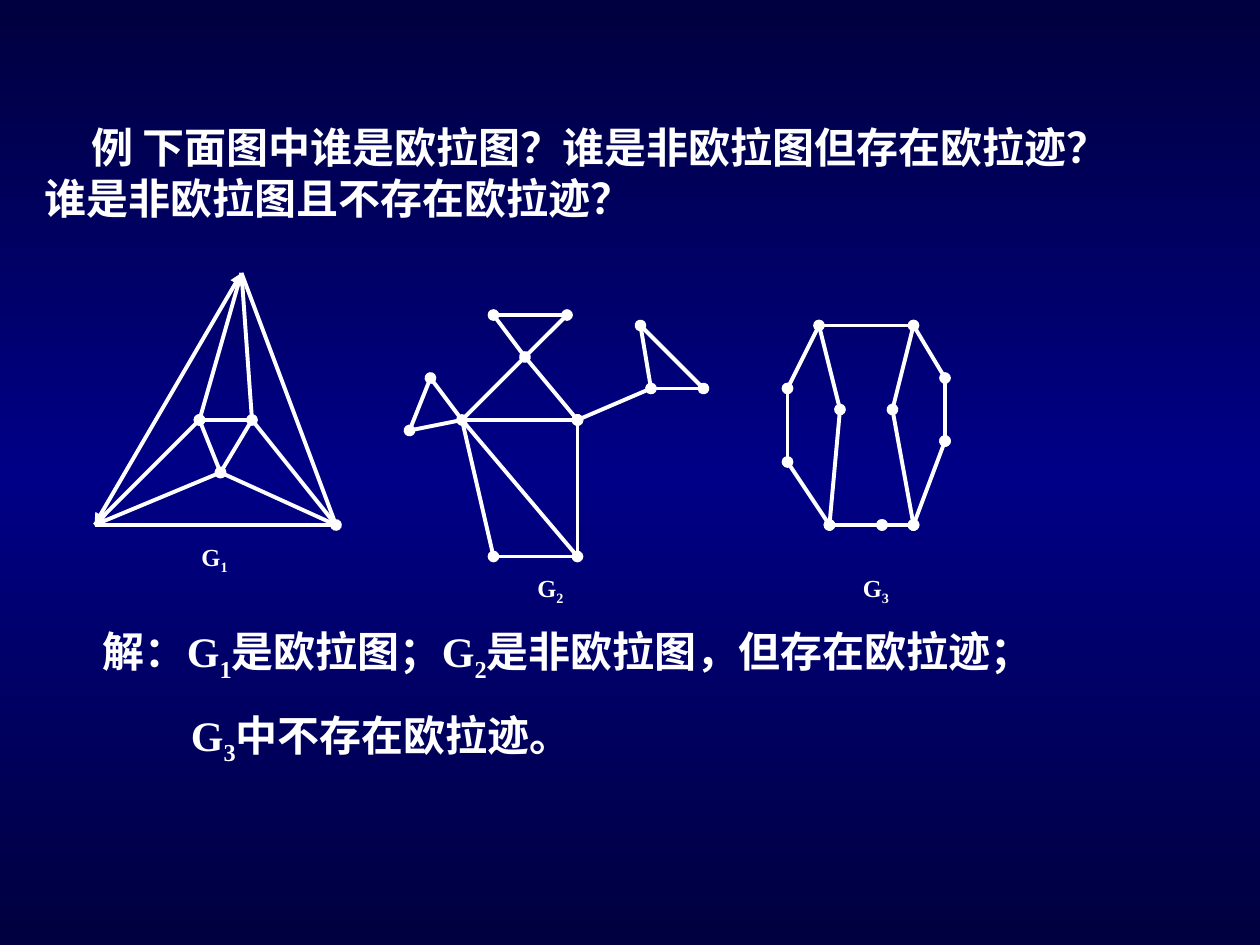
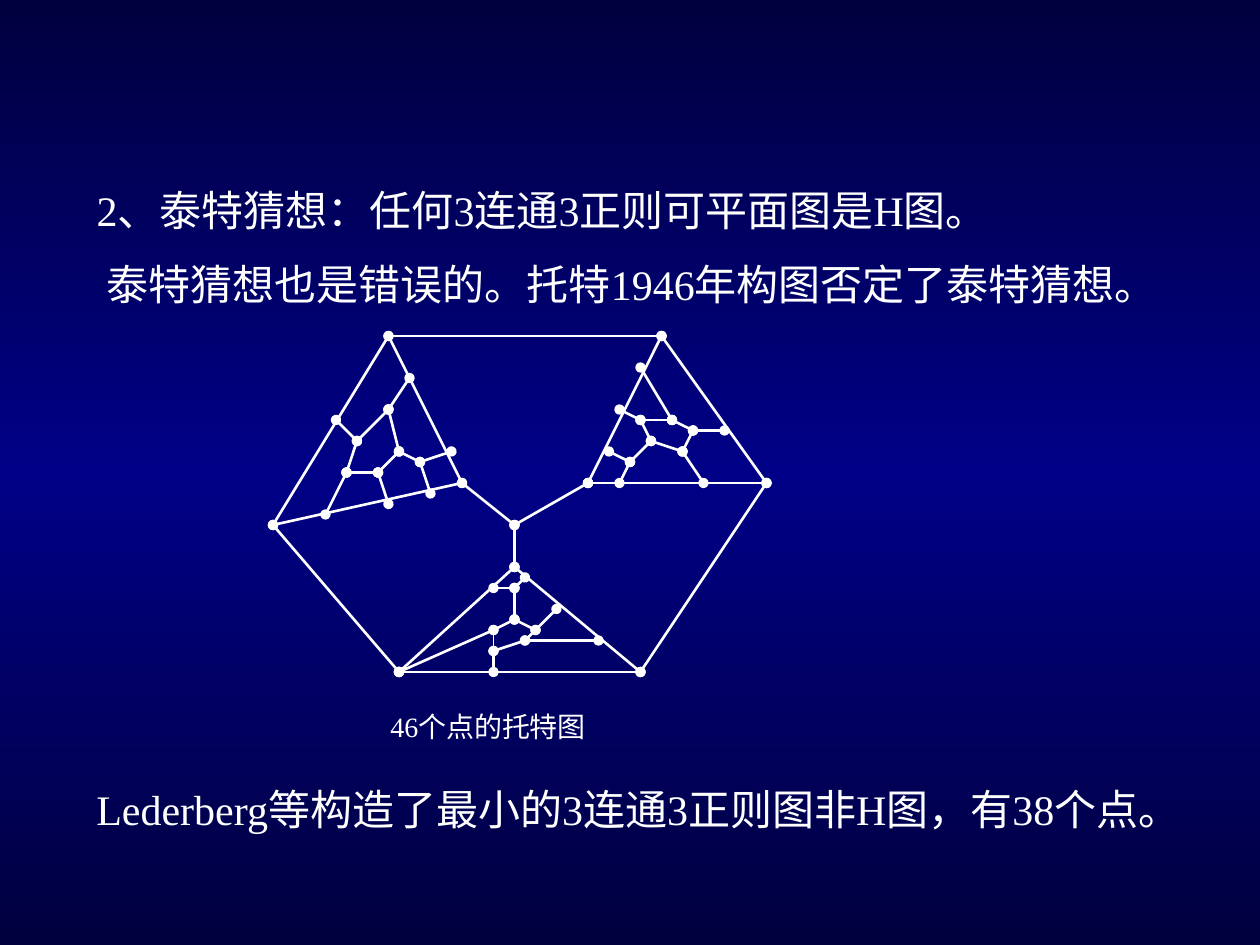
"""Build two slides on Euler graphs and the Tutte graph."""
from copy import deepcopy
from itertools import pairwise

from lxml.etree import SubElement
from pptx import Presentation
from pptx.dml.color import RGBColor
from pptx.enum.shapes import MSO_CONNECTOR as LINE
from pptx.enum.text import MSO_ANCHOR as ANCHOR, MSO_AUTO_SIZE as FIT, PP_ALIGN as ALIGN
from pptx.oxml.ns import qn
from pptx.util import Pt

CELL = 8
FONT = "Times New Roman"
WHITE, NAVY, BLUE = "FFFFFF", "00003E", "000086"
rgb = RGBColor.from_string


def px(n):
    """Turn pixels at 96 to the inch into EMU."""
    return n * 9525


def add_text(sp, text, box, size=24, bold=False, indents=(0,)):
    """Fill a shape with one paragraph a line; _ lowers the next character."""
    sp.left, sp.top, sp.width, sp.height = map(px, box)
    tf = sp.text_frame
    tf.word_wrap, tf.auto_size, tf.vertical_anchor = True, FIT.SHAPE_TO_FIT_TEXT, ANCHOR.TOP
    for n, (line, indent) in enumerate(zip(text.split("\n"), indents)):
        p = tf.add_paragraph() if n else tf.paragraphs[0]
        p.alignment, p.space_before = ALIGN.LEFT, Pt(15 if n else 0)
        p._p.get_or_add_pPr().set("indent", str(px(indent)))
        first, *rest = line.split("_")
        pieces = [(first, False)]
        for part in rest:
            pieces += [(part[0], True), (part[1:], False)]
        for piece, lowered in pieces:
            if not piece:
                continue
            r = p.add_run()
            r.text = piece
            r.font.name, r.font.size, r.font.bold = FONT, Pt(size), bold
            r.font.color.rgb = rgb(WHITE)
            if lowered:
                r._r.get_or_add_rPr().set("baseline", "-25000")


prs = Presentation()
prs.slide_width, prs.slide_height = px(960), px(720)

master = prs.slide_master
fill = master.background.fill
fill.gradient()
fill.gradient_angle = 90
stops = master.element.find(".//" + qn("a:gsLst"))
stops.insert(1, deepcopy(stops[0]))
for stop, position, color in zip(fill.gradient_stops, (0, 0.5, 1), (NAVY, BLUE, NAVY)):
    stop.position = position
    stop.color.rgb = rgb(color)

title_only = prs.slide_layouts[5]
euler = prs.slides.add_slide(title_only)
tutte = prs.slides.add_slide(title_only)

add_text(euler.shapes.title, "例 下面图中谁是欧拉图？谁是非欧拉图但存在欧拉迹？谁是非欧拉图且不存在欧拉迹？",
         (24, 88, 808, 86), bold=True, indents=(36,))
add_text(tutte.shapes.title, "2、泰特猜想：任何3连通3正则可平面图是H图。",
         (40, 136, 824, 48), indents=(24,))

g1 = dict(A=(23, 26), B=(9, 50), C=(32, 50), P=(19, 40), Q=(24, 40), R=(21, 45))
g2 = dict(a=(47, 30), b=(54, 30), c=(50, 34), d=(44, 40), e=(55, 40), f=(62, 37),
          g=(61, 31), h=(67, 37), i=(41, 36), j=(39, 41), k=(47, 53), l=(55, 53))
g3 = dict(a=(78, 31), b=(87, 31), c=(75, 37), d=(75, 44), e=(79, 50), f=(84, 50),
          g=(87, 50), h=(90, 36), i=(90, 42), j=(80, 39), k=(85, 39))
outer = dict(A=(37, 32), B=(63, 32), C=(73, 46), D=(61, 64), E=(38, 64),
             F=(26, 50), G=(44, 46), H=(49, 50), I=(56, 46), J=(49, 54))
left = dict(K=(34, 42), L=(37, 39), M=(38, 43), N=(36, 45), O=(33, 45), P=(32, 40),
            Q=(39, 36), R=(40, 44), S=(43, 43), T=(41, 47), U=(37, 48), V=(31, 49))
bottom = dict(W=(49, 59), X=(51, 60), Y=(47, 60), Z=(50, 61), a=(47, 62), b=(53, 58),
              c=(57, 61), d=(47, 64), e=(49, 56), f=(47, 56), g=(50, 55))
right = dict(h=(58, 43), i=(60, 44), j=(59, 46), k=(62, 42), l=(61, 40), m=(64, 40),
             n=(65, 43), o=(66, 41), p=(67, 46), q=(69, 41), r=(59, 39), t=(61, 35))

graphs = [
    (euler, g1, [("triangle", 2.25, "AB"), ("oval", 2.25, "QPRC"),
                 (None, 2.25, "ACBRQC BPAQ")],
     "G_1", (144, 408, 50, 36), 14, True),
    (euler, g2, [("oval", 2.25, "ab def ce gh ij kl"),
                 (None, 2.25, "acb cd gfh idj kdle")],
     "G_2", (400, 432, 65, 36), 14, True),
    (euler, g3, [("oval", 2.25, "ab cd hig efgk je"),
                 (None, 2.25, "caj de hbk")],
     "G_3", (648, 432, 65, 36), 14, True),
    (tutte, outer | left | bottom | right,
     [("oval", 1.5, "ABCDEFA FGHIC BI HJE JD PKLMNOK LQ MRS RT NU OV "
                    "EYWXb Wef eg cZad hiknomlk ij np oq lr mt"),
      (None, 1.5, "AG XZ"), (None, 0.75, "Ya")],
     "46个点的托特图", (288, 536, 250, 36), 16, False),
]

for s, points, styles, label, box, size, bold in graphs:
    group = s.shapes.add_group_shape()
    for end, width, chains in styles:
        for chain in chains.split():
            for u, v in pairwise(chain):
                ends = [px(n * CELL) for n in points[u] + points[v]]
                c = group.shapes.add_connector(LINE.STRAIGHT, *ends)
                c.line.color.rgb, c.line.width = rgb(WHITE), Pt(width)
                spPr = c._element.spPr
                if end:
                    for tag in ("a:headEnd", "a:tailEnd"):
                        SubElement(spPr.find(qn("a:ln")), qn(tag), type=end)
                SubElement(spPr, qn("a:effectLst"))
    add_text(group.shapes.add_textbox(0, 0, 0, 0), label, box, size=size, bold=bold)

bodies = [
    (euler, "解：G_1是欧拉图；G_2是非欧拉图，但存在欧拉迹；\nG_3中不存在欧拉迹。",
     (32, 472, 840, 117), True, (37, 104)),
    (tutte, "泰特猜想也是错误的。托特1946年构图否定了泰特猜想。",
     (56, 192, 824, 86), False, (16,)),
    (tutte, "Lederberg等构造了最小的3连通3正则图非H图，有38个点。",
     (40, 592, 920, 86), False, (24,)),
]
for s, text, box, bold, indents in bodies:
    add_text(s.shapes.add_textbox(0, 0, 0, 0), text, box, bold=bold, indents=indents)

prs.save("out.pptx")
